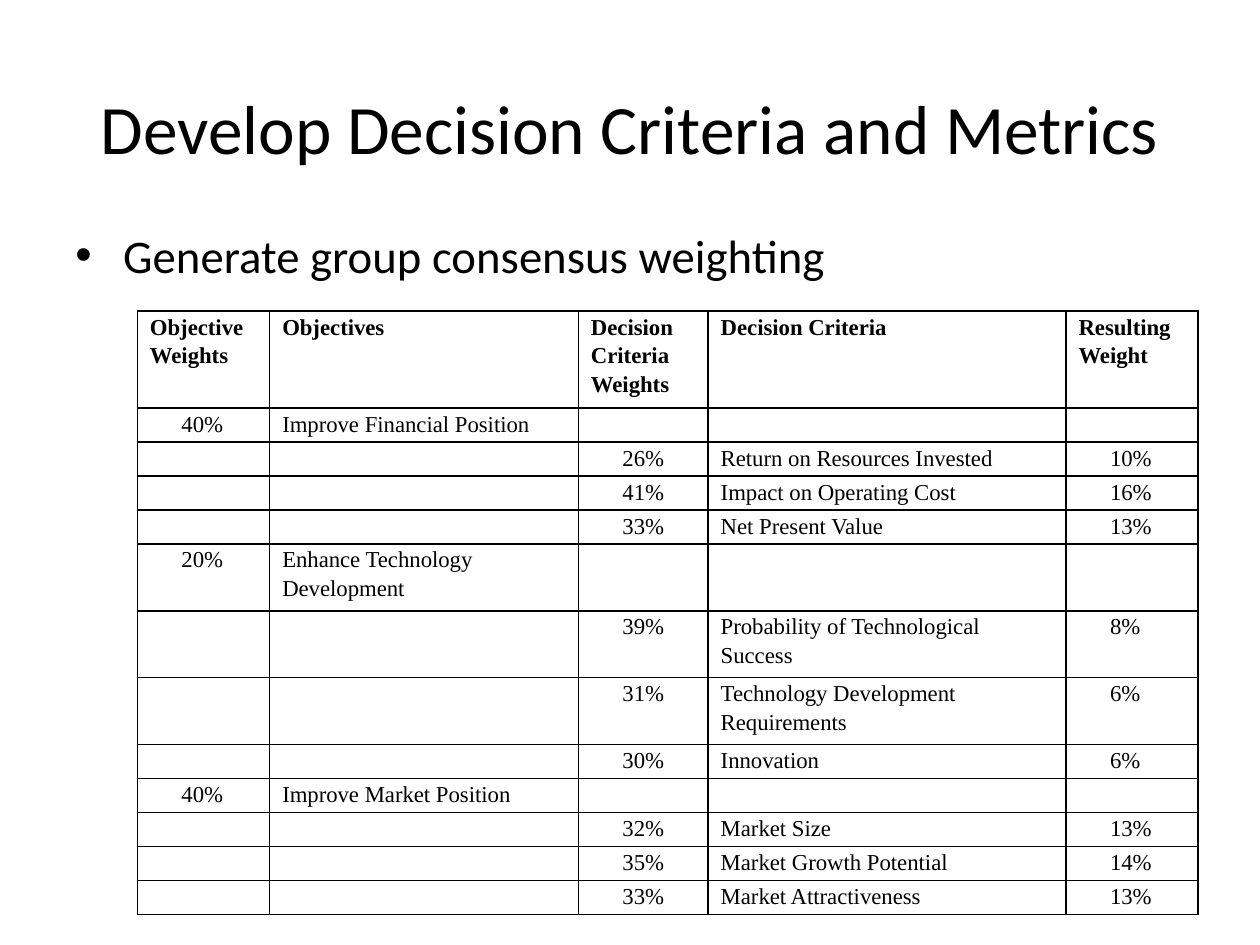
import pptx
import pptx.util
import pptx.dml.color
import pptx.enum.text
import pptx.oxml
import pptx.oxml.ns
import lxml.etree
from dataclasses import dataclass

Inches = pptx.util.Inches
Pt = pptx.util.Pt
Align = pptx.enum.text.PP_ALIGN
Anchor = pptx.enum.text.MSO_ANCHOR


@dataclass(frozen=True)
class Theme:
    ink: str = "000000"
    paper: str = "FFFFFF"
    heading_font: str = "Calibri"
    table_font: str = "Times New Roman"
    title_size: float = 39.6
    body_size: float = 26.7
    table_size: float = 13
    border_width: float = 1


THEME = Theme()


def rgb(color):
    return pptx.dml.color.RGBColor.from_string(color)


def add_child(parent, tag, **attributes):
    child = lxml.etree.SubElement(parent, pptx.oxml.ns.qn(tag))
    for name, value in attributes.items():
        child.set(name, str(value))
    return child


def write_text(frame, text, font=THEME.heading_font, size=THEME.body_size, bold=False,
               align=Align.LEFT, line_spacing=None, before=None, after=None,
               margin=0, indent=0, bullet=None):
    paragraph = frame.paragraphs[0]
    paragraph.alignment = align
    paragraph.line_spacing = line_spacing
    paragraph.space_before = before
    paragraph.space_after = after
    properties = paragraph._p.get_or_add_pPr()
    properties.set("marL", str(Inches(margin)))
    properties.set("indent", str(Inches(indent)))
    if bullet:
        add_child(properties, "a:buFont", typeface="Arial")
        add_child(properties, "a:buChar", char=bullet)
    if text:
        paragraph.add_run().text = text
    # The paragraph font also sets the line height of empty cells
    for style in [paragraph.font] + [run.font for run in paragraph.runs]:
        style.name = font
        style.size = Pt(size)
        style.bold = bold
        style.color.rgb = rgb(THEME.ink)
    if not text:
        add_child(paragraph._p, "a:endParaRPr", sz=int(size * 100))


class SlideBuilder:
    def __init__(self, slide, theme):
        self.slide = slide
        self.theme = theme
        slide.background.fill.solid()
        slide.background.fill.fore_color.rgb = rgb(theme.paper)

    def text(self, text, left, top, width, height, anchor=Anchor.TOP, **style):
        shape = self.slide.shapes.add_textbox(
            Inches(left), Inches(top), Inches(width), Inches(height))
        shape.text_frame.word_wrap = True
        shape.text_frame.vertical_anchor = anchor
        write_text(shape.text_frame, text, **style)

    def table(self, rows, left, top, widths, heights, centered_columns):
        shape = self.slide.shapes.add_table(
            len(rows), len(widths), Inches(left), Inches(top),
            Inches(sum(widths)), Inches(sum(heights)))
        table = shape.table
        table.first_row = table.horz_banding = False
        for column, width in zip(table.columns, widths):
            column.width = Inches(width)
        for row, height in zip(table.rows, heights):
            row.height = Inches(height)
        for row_index, row in enumerate(rows):
            for column_index, text in enumerate(row):
                header = row_index == 0
                numeric = column_index in centered_columns and not header
                self.cell(table.cell(row_index, column_index), text,
                          bold=header, indent=0.25 if numeric else 0)

    def cell(self, cell, text, **style):
        cell.margin_left = cell.margin_right = Inches(0.1)
        cell.margin_top = cell.margin_bottom = 0
        write_text(cell.text_frame, text, font=self.theme.table_font,
                   size=self.theme.table_size if text else 10,
                   line_spacing=1.15, after=Pt(3), **style)
        properties = cell._tc.get_or_add_tcPr()
        for side in ("a:lnL", "a:lnR", "a:lnT", "a:lnB"):
            line = add_child(properties, side, w=Pt(self.theme.border_width))
            fill = add_child(line, "a:solidFill")
            add_child(fill, "a:srgbClr", val=self.theme.ink)
        cell.fill.solid()
        cell.fill.fore_color.rgb = rgb(self.theme.paper)


# Table content: each objective is followed by its criteria
HEADER = ("Objective Weights", "Objectives", "Decision Criteria Weights",
          "Decision Criteria", "Resulting Weight")
OBJECTIVES = [
    ("40%", "Improve Financial Position", [
        ("26%", "Return on Resources Invested", "10%"),
        ("41%", "Impact on Operating Cost", "16%"),
        ("33%", "Net Present Value", "13%")]),
    ("20%", "Enhance Technology Development", [
        ("39%", "Probability of Technological Success", "8%"),
        ("31%", "Technology Development Requirements", "6%"),
        ("30%", "Innovation", "6%")]),
    ("40%", "Improve Market Position", [
        ("32%", "Market Size", "13%"),
        ("35%", "Market Growth Potential", "14%"),
        ("33%", "Market Attractiveness", "13%")]),
]
rows = [HEADER]
for weight, objective, criteria in OBJECTIVES:
    rows.append((weight, objective, "", "", ""))
    rows.extend(("", "") + criterion for criterion in criteria)

# Row heights: a tall header, and two-line rows for long labels
SINGLE, DOUBLE, TALL = 0.27, 0.53, 0.77
heights = [TALL] + [DOUBLE if max(map(len, row)) > 28 else SINGLE for row in rows[1:]]

# Slide
presentation = pptx.Presentation()
presentation.slide_width = Inches(10)
presentation.slide_height = Inches(7.5)
builder = SlideBuilder(presentation.slides.add_slide(presentation.slide_layouts[6]), THEME)

builder.text("Develop Decision Criteria and Metrics", 0.5, 0.38, 9, 1.25,
             anchor=Anchor.MIDDLE, size=THEME.title_size, align=Align.CENTER)
builder.text("Generate group consensus weighting", 0.5, 1.75, 7.26, 0.74,
             before=Pt(5.3), margin=0.38, indent=-0.38, bullet="•")
builder.table(rows, 1.09, 2.47, [1.05, 2.45, 1.03, 2.84, 1.05], heights,
              centered_columns=(0, 2, 4))

presentation.save("out.pptx")
